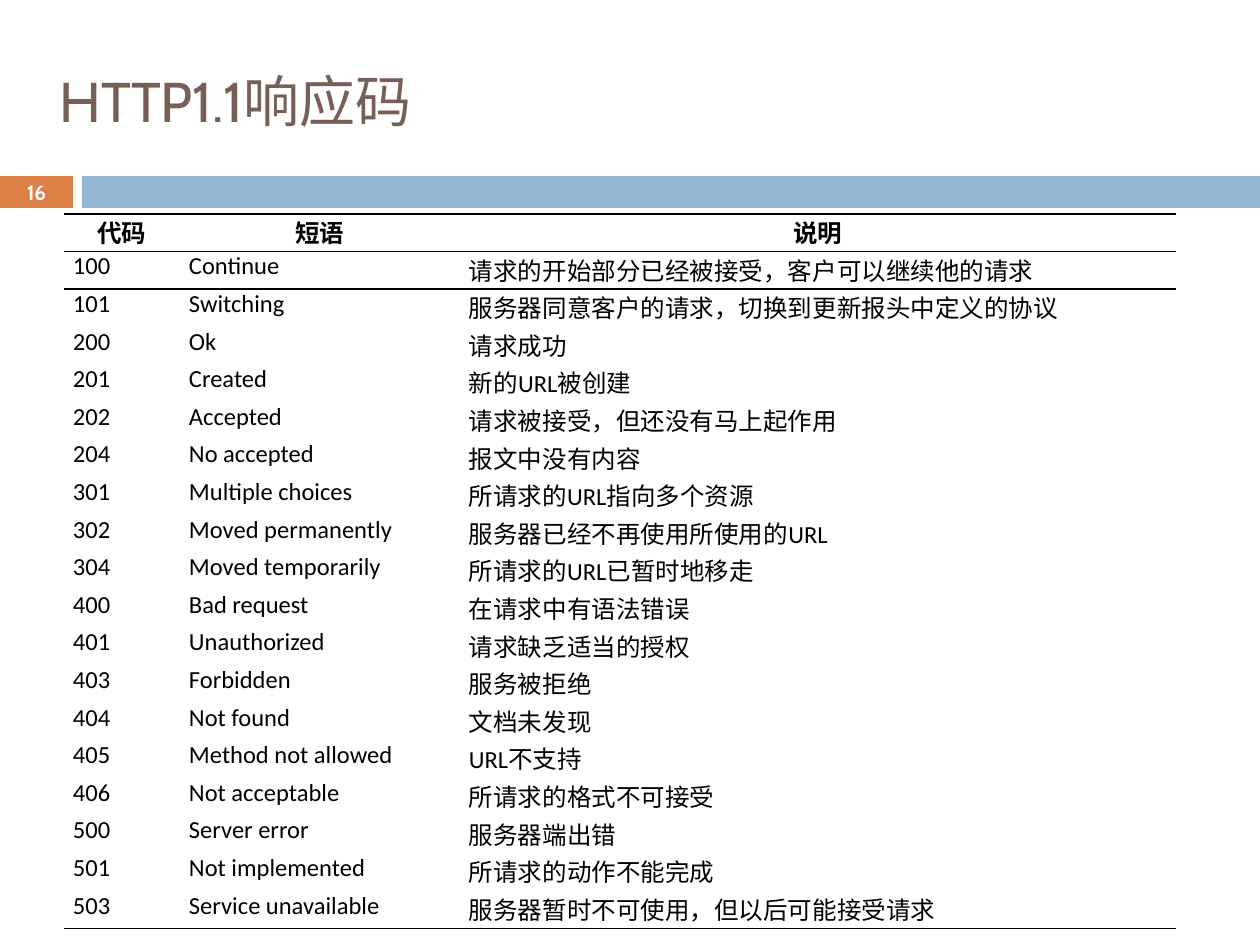
from lxml.etree import SubElement
from pptx import Presentation
from pptx.dml.color import RGBColor
from pptx.enum.shapes import MSO_SHAPE
from pptx.enum.text import MSO_ANCHOR, PP_ALIGN
from pptx.oxml.ns import qn
from pptx.util import Emu, Pt

PIXELS_PER_INCH = 126
COLORS = {
    "title": "775F55",
    "number_bar": "DD8047",
    "wide_bar": "94B6D2",
    "number": "FFFFFF",
    "table": "000000",
}
HEADINGS = ("代码", "短语", "说明")
RESPONSES = [
    ("100", "Continue", "请求的开始部分已经被接受，客户可以继续他的请求"),
    ("101", "Switching", "服务器同意客户的请求，切换到更新报头中定义的协议"),
    ("200", "Ok", "请求成功"),
    ("201", "Created", "新的URL被创建"),
    ("202", "Accepted", "请求被接受，但还没有马上起作用"),
    ("204", "No accepted", "报文中没有内容"),
    ("301", "Multiple choices", "所请求的URL指向多个资源"),
    ("302", "Moved permanently", "服务器已经不再使用所使用的URL"),
    ("304", "Moved temporarily", "所请求的URL已暂时地移走"),
    ("400", "Bad request", "在请求中有语法错误"),
    ("401", "Unauthorized", "请求缺乏适当的授权"),
    ("403", "Forbidden", "服务被拒绝"),
    ("404", "Not found", "文档未发现"),
    ("405", "Method not allowed", "URL不支持"),
    ("406", "Not acceptable", "所请求的格式不可接受"),
    ("500", "Server error", "服务器端出错"),
    ("501", "Not implemented", "所请求的动作不能完成"),
    ("503", "Service unavailable", "服务器暂时不可使用，但以后可能接受请求"),
]


def px(length):
    return Emu(round(length * 914400 / PIXELS_PER_INCH))


class SlideBuilder:
    display_font = "Cabin"
    table_font = "Calibri"
    plain_table_style = "{2D5ABB26-0587-4C30-8999-92F81FD0307C}"

    def __init__(self, slide):
        self.slide = slide

    def bar(self, left, top, width, height, color):
        shape = self.slide.shapes.add_shape(
            MSO_SHAPE.RECTANGLE, px(left), px(top), px(width), px(height))
        shape.shadow.inherit = False
        shape.fill.solid()
        shape.fill.fore_color.rgb = RGBColor.from_string(COLORS[color])
        shape.line.fill.background()

    def run(self, paragraph, text, size, font, color, bold=False):
        run = paragraph.add_run()
        run.text = text
        run.font.size = Pt(size)
        run.font.name = font
        run.font.bold = bold
        run.font.color.rgb = RGBColor.from_string(COLORS[color])

    def text(self, left, top, width, height, text, size, color,
             align=PP_ALIGN.LEFT, bold=False):
        frame = self.slide.shapes.add_textbox(
            px(left), px(top), px(width), px(height)).text_frame
        frame.word_wrap = True
        frame.vertical_anchor = MSO_ANCHOR.MIDDLE
        paragraph = frame.paragraphs[0]
        paragraph.alignment = align
        self.run(paragraph, text, size, self.display_font, color, bold)

    def border(self, cell, side):
        """Rule one edge of a cell; side is T or B, and T must come first."""
        properties = cell._tc.get_or_add_tcPr()
        line = SubElement(properties, qn(f"a:ln{side}"), w=str(Pt(1)))
        fill = SubElement(line, qn("a:solidFill"))
        SubElement(fill, qn("a:srgbClr"), val=COLORS["table"])

    def cell(self, cell, text, heading, sides):
        cell.margin_left = cell.margin_right = px(9)
        cell.margin_top = cell.margin_bottom = 0
        for side in sides:
            self.border(cell, side)
        cell.fill.background()
        paragraph = cell.text_frame.paragraphs[0]
        paragraph.alignment = PP_ALIGN.CENTER if heading else PP_ALIGN.JUSTIFY
        self.run(paragraph, text, 14, self.table_font, "table", heading)

    def table(self, left, top, widths, height, rows):
        """Draw a table ruled above and below its heading and at its foot."""
        frame = self.slide.shapes.add_table(
            len(rows), len(widths), px(left), px(top), px(sum(widths)), px(height))
        table = frame.table
        table.horz_banding = False
        table._tbl.tblPr.find(qn("a:tableStyleId")).text = self.plain_table_style
        for column, width in zip(table.columns, widths):
            column.width = px(width)
        rules = {0: "TB", 1: "T", len(rows) - 1: "B"}
        for index, values in enumerate(rows):
            table.rows[index].height = px(height / len(rows))
            for cell, value in zip(table.rows[index].cells, values):
                self.cell(cell, value, index == 0, rules.get(index, ""))


def main():
    presentation = Presentation()
    presentation.slide_width = px(1260)
    presentation.slide_height = px(945)
    builder = SlideBuilder(
        presentation.slides.add_slide(presentation.slide_layouts[6]))
    builder.bar(0, 176, 73, 32, "number_bar")
    builder.bar(82, 176, 1178, 32, "wide_bar")
    builder.text(47, 22, 1177, 157, "HTTP1.1响应码", 32, "title")
    builder.table(64, 214, (116, 280, 716), 715, [HEADINGS, *RESPONSES])
    builder.text(0, 175, 73, 34, "16", 11.9, "number", PP_ALIGN.CENTER, True)
    presentation.save("out.pptx")


if __name__ == "__main__":
    main()
